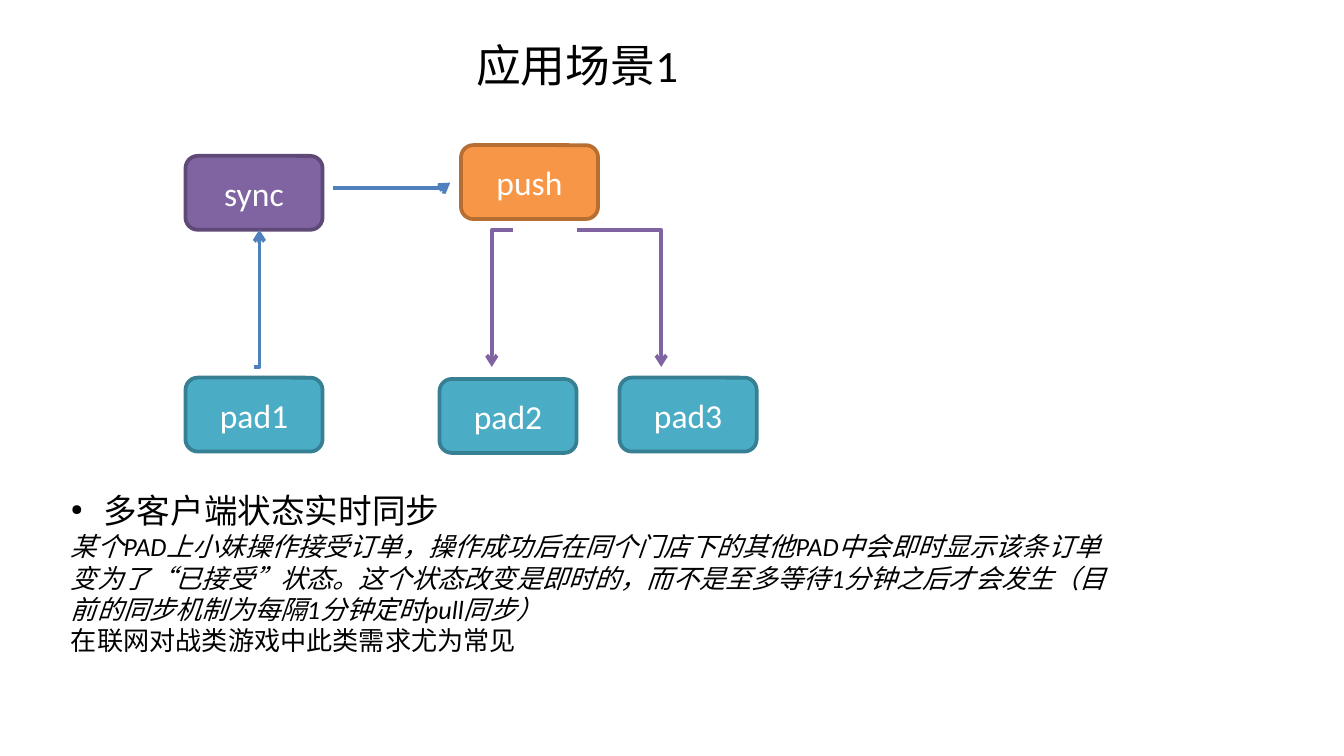
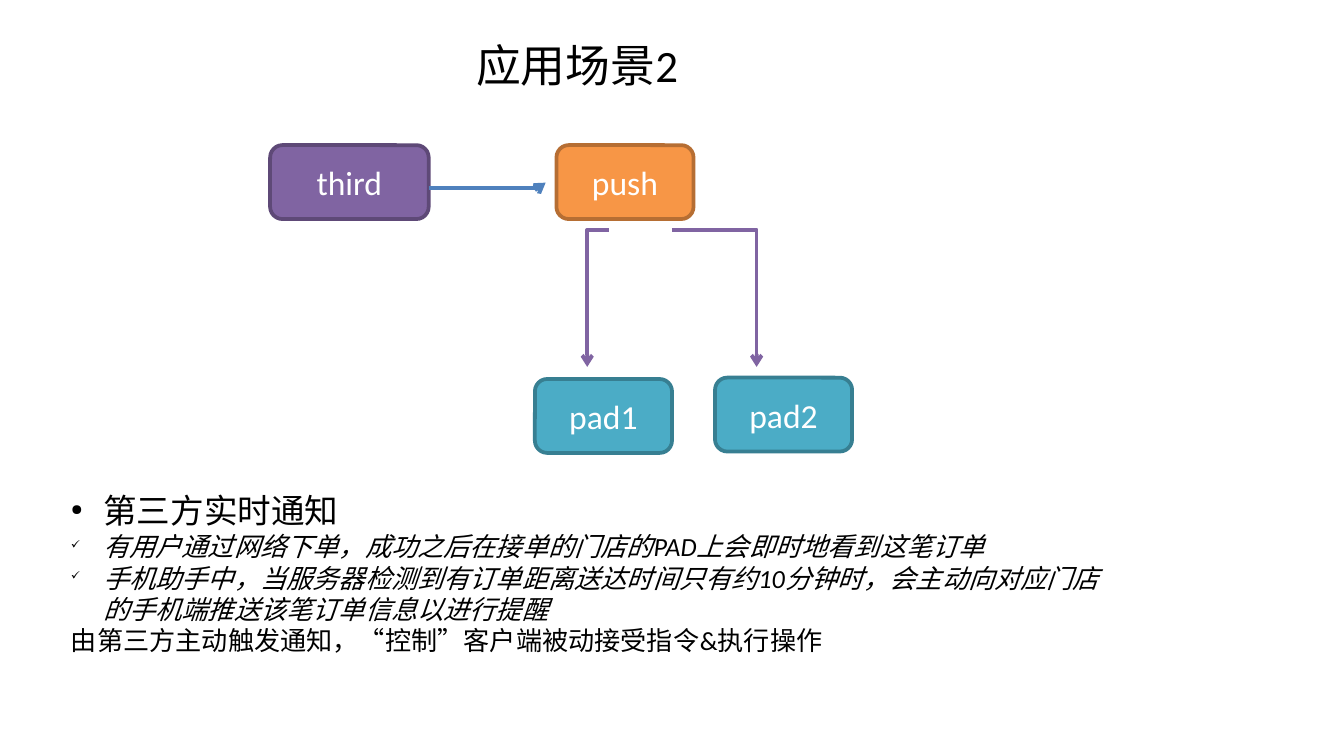
"""Build two slides that show where push messages are used."""
from dataclasses import dataclass
from typing import Any, NamedTuple

from lxml import etree
from pptx import Presentation
from pptx import util as u
from pptx.dml.color import RGBColor
from pptx.enum import shapes, text
from pptx.oxml.ns import qn


class Tone(NamedTuple):
    fill: str
    edge: str


@dataclass(frozen=True)
class Theme:
    font: str = "Calibri"
    ink: str = "000000"
    light: str = "FFFFFF"
    pad: Tone = Tone("4BACC6", "377F92")
    source: Tone = Tone("8064A2", "5E4977")
    push: Tone = Tone("F79646", "B66E33")
    call: str = "4F81BD"
    head: int = 24
    main: int = 18
    note: int = 14
    edge: int = 2


class Node(NamedTuple):
    label: str
    left: float
    top: float
    tone: Tone
    width: float = 1.02
    height: float = 0.55


class Arrow(NamedTuple):
    left: float
    top: float
    right: float
    base: float
    color: str


class Line(NamedTuple):
    words: str
    size: int
    slant: bool = False
    mark: str = ""


@dataclass(frozen=True)
class Scene:
    title: str
    push: float
    pads: tuple[str, str]
    nodes: list[Node]
    arrows: list[Arrow]
    lines: list[Line]


THEME = Theme()
WIDTH = u.Inches(10)
HEIGHT = WIDTH * 9 // 16
TOP, LOW = 1.71, 2.73
FRAME = {"word_wrap": True, "margin_left": u.Inches(0.1), "margin_right": u.Inches(0.1),
         "margin_top": u.Inches(0.05), "margin_bottom": u.Inches(0.05)}


def assign(target: Any, values: dict[str, Any]) -> None:
    for name, value in values.items():
        setattr(target, name, value)


def mark_up(item: Any, **values: Any) -> None:
    for name, value in values.items():
        item.set(name, str(value))


def place(*sizes: float) -> list[u.Length]:
    return [u.Inches(size) for size in sizes]


def write(para: Any, line: Line, color: str, align: Any) -> None:
    if line.mark:
        props = para._p.get_or_add_pPr()
        mark_up(props, marL=u.Inches(0.24), indent=u.Inches(-0.24))
        tint = etree.SubElement(props, qn("a:buClr"))
        mark_up(etree.SubElement(tint, qn("a:srgbClr")), val=THEME.ink)
        mark_up(etree.SubElement(props, qn("a:buSzPct")), val=45000)
        mark_up(etree.SubElement(props, qn("a:buChar")), char=line.mark)
    para.alignment = align
    run = para.add_run()
    run.text = line.words
    assign(run.font, {"name": THEME.font, "size": u.Pt(line.size), "italic": line.slant})
    run.font.color.rgb = RGBColor.from_string(color)


def add_text(slide: Any, box: list[u.Length], lines: list[Line], align: Any, fit: Any) -> None:
    frame = slide.shapes.add_textbox(*box).text_frame
    assign(frame, FRAME | {"auto_size": fit})
    for index, line in enumerate(lines):
        para = frame.add_paragraph() if index else frame.paragraphs[0]
        write(para, line, THEME.ink, align)


def add_node(slide: Any, node: Node) -> None:
    shape = slide.shapes.add_shape(
        shapes.MSO_SHAPE.ROUNDED_RECTANGLE,
        *place(node.left, node.top, node.width, node.height))
    shape.shadow.inherit = False
    shape.fill.solid()
    shape.fill.fore_color.rgb = RGBColor.from_string(node.tone.fill)
    shape.line.color.rgb = RGBColor.from_string(node.tone.edge)
    shape.line.width = u.Pt(THEME.edge)
    frame = shape.text_frame
    assign(frame, FRAME | {"vertical_anchor": text.MSO_ANCHOR.MIDDLE})
    write(frame.paragraphs[0], Line(node.label, THEME.main), THEME.light, text.PP_ALIGN.CENTER)


def add_arrow(slide: Any, arrow: Arrow) -> None:
    link = slide.shapes.add_connector(
        shapes.MSO_CONNECTOR.ELBOW,
        *place(arrow.left, arrow.top, arrow.right, arrow.base))
    link.line.color.rgb = RGBColor.from_string(arrow.color)
    link.line.width = u.Pt(THEME.edge)
    props = link._element.spPr
    props.find(qn("a:prstGeom")).set("prst", "bentConnector2")
    mark_up(etree.SubElement(props.find(qn("a:ln")), qn("a:tailEnd")), type="arrow")
    etree.SubElement(props, qn("a:effectLst"))


def add_scene(deck: Any, scene: Scene) -> None:
    slide = deck.slides.add_slide(deck.slide_layouts[6])
    add_text(slide, place(0.91, 0.23, 6.77, 0.46), [Line(scene.title, THEME.head)],
             text.PP_ALIGN.CENTER, text.MSO_AUTO_SIZE.NONE)
    left = scene.push
    near, far = scene.pads
    fan = [Node(far, left + 1.18, 2.81, THEME.pad),
           Node(near, left - 0.16, 2.82, THEME.pad),
           Node("push", left, 1.08, THEME.push)]
    for node in scene.nodes + fan:
        add_node(slide, node)
    links = [Arrow(left + 0.39, TOP, left + 0.23, LOW, THEME.source.fill),
             Arrow(left + 0.86, TOP, left + 1.49, LOW, THEME.source.fill)]
    feed = Arrow(left - 0.95, 1.4, left - 0.08, 1.36, THEME.call)
    for arrow in [*links, *scene.arrows, feed]:
        add_arrow(slide, arrow)
    add_text(slide, place(0.43, 3.6, 8.03, 1.33), scene.lines,
             text.PP_ALIGN.LEFT, text.MSO_AUTO_SIZE.SHAPE_TO_FIT_TEXT)


SCENES = [
    Scene("应用场景1", 3.43, ("pad2", "pad3"),
          [Node("pad1", 1.38, 2.81, THEME.pad), Node("sync", 1.38, 1.16, THEME.source)],
          [Arrow(1.89, LOW, 1.93, TOP, THEME.call)],
          [Line("多客户端状态实时同步", THEME.main, mark="●"),
           Line("某个PAD上小妹操作接受订单，操作成功后在同个门店下的其他PAD中会即时显示该条订单变为了"
                "“已接受”状态。这个状态改变是即时的，而不是至多等待1分钟之后才会发生"
                "（目前的同步机制为每隔1分钟定时pull同步）", THEME.note, True),
           Line("在联网对战类游戏中此类需求尤为常见", THEME.note)]),
    Scene("应用场景2", 4.14, ("pad1", "pad2"),
          [Node("third", 2.01, 1.08, THEME.source, 1.18)],
          [],
          [Line("第三方实时通知", THEME.main, mark="●"),
           Line("有用户通过网络下单，成功之后在接单的门店的PAD上会即时地看到这笔订单",
                THEME.note, True, "✓"),
           Line("手机助手中，当服务器检测到有订单距离送达时间只有约10分钟时，"
                "会主动向对应门店的手机端推送该笔订单信息以进行提醒", THEME.note, True, "✓"),
           Line("由第三方主动触发通知，“控制”客户端被动接受指令&执行操作", THEME.note)]),
]


def main() -> None:
    deck = Presentation()
    assign(deck, {"slide_width": WIDTH, "slide_height": HEIGHT})
    deck.element.find(qn("p:sldSz")).attrib.pop("type", None)
    for scene in SCENES:
        add_scene(deck, scene)
    deck.save("out.pptx")


if __name__ == "__main__":
    main()
